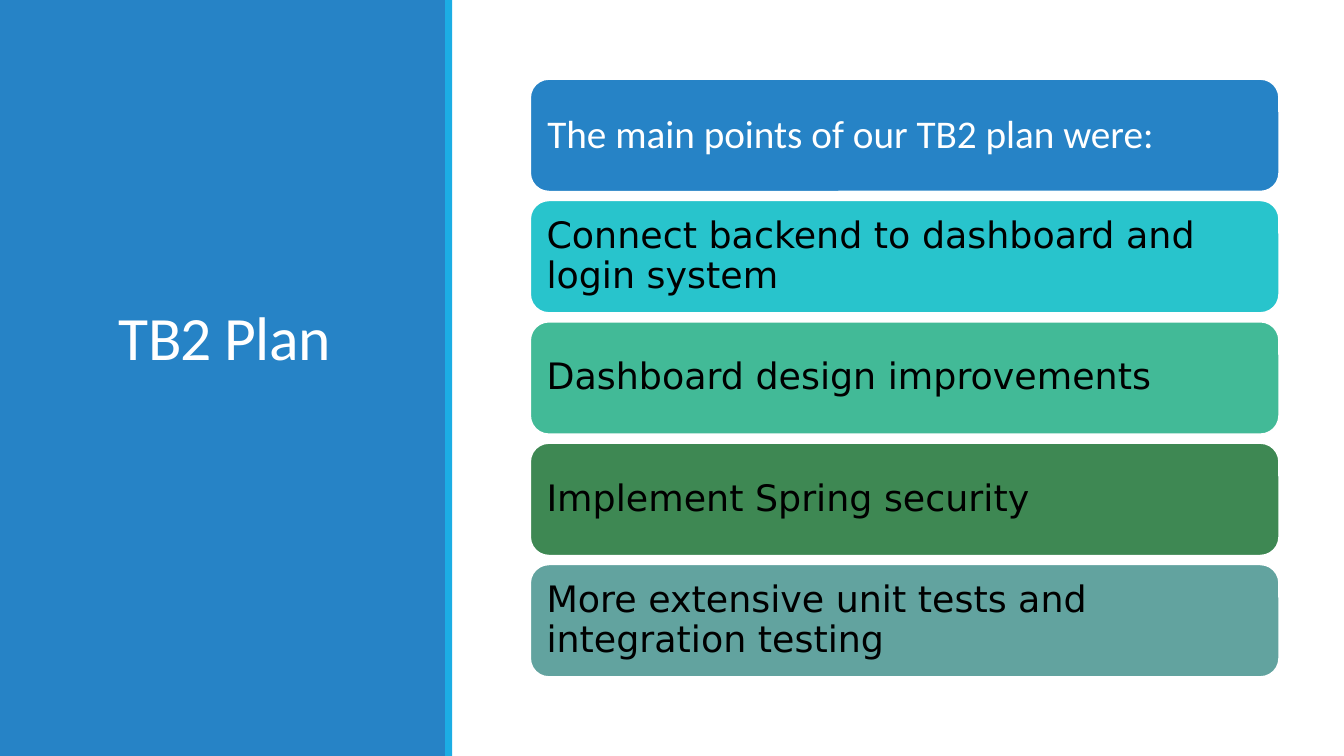
from dataclasses import dataclass

from pptx import Presentation
from pptx.dml.color import RGBColor
from pptx.enum.shapes import MSO_SHAPE
from pptx.enum.text import MSO_ANCHOR, PP_ALIGN
from pptx.util import Pt

RECTANGLE = MSO_SHAPE.RECTANGLE
ROUNDED = MSO_SHAPE.ROUNDED_RECTANGLE
BOTTOM = MSO_ANCHOR.BOTTOM
MIDDLE = MSO_ANCHOR.MIDDLE
LEFT = PP_ALIGN.LEFT


@dataclass(frozen=True)
class Theme:
    """Colours, fonts and type sizes of the slide."""
    panel: str = "2683C6"
    accent: str = "1CADE4"
    light: str = "FFFFFF"
    dark: str = "000000"
    cards: tuple = ("2683C6", "28C4CC", "42BA97", "3E8853", "62A39F")
    heading_font: str = "Calibri"
    point_font: str = "DejaVu Sans"
    title_size: float = 44
    heading_size: float = 28
    point_size: float = 26


THEME = Theme()
HEADING = "The main points of our TB2 plan were:"
POINTS = (
    "Connect backend to dashboard and login system",
    "Dashboard design improvements",
    "Implement Spring security",
    "More extensive unit tests and integration testing",
)


def add_block(slide, kind, box, fill, outline=None):
    """Add a filled shape in the box, with an outline if one is given."""
    shape = slide.shapes.add_shape(kind, *(Pt(length) for length in box))
    shape.shadow.inherit = False
    shape.fill.solid()
    shape.fill.fore_color.rgb = RGBColor.from_string(fill)
    if outline:
        shape.line.color.rgb = RGBColor.from_string(outline)
        shape.line.width = Pt(1.25)
    else:
        shape.line.fill.background()
    return shape


def write(shape, text, font, size, color, anchor, spacing):
    """Write one left-aligned paragraph into the shape and return its run."""
    frame = shape.text_frame
    frame.text = text
    frame.word_wrap = True
    frame.vertical_anchor = anchor
    paragraph = frame.paragraphs[0]
    paragraph.alignment = LEFT
    paragraph.line_spacing = spacing
    run = paragraph.runs[0]
    run.font.name = font
    run.font.size = Pt(size)
    run.font.color.rgb = RGBColor.from_string(color)
    return run


def add_title_panel(slide, box, title):
    """Draw the side panel with its accent strip and the title."""
    left, top, width, height = box
    strip = 5
    add_block(slide, RECTANGLE, (left, top, width - strip, height), THEME.panel)
    add_block(slide, RECTANGLE, (left + width - strip, top, strip, height), THEME.accent)
    title_box = (left + 77.8, top + 23, 276.5, height / 2 - 23)
    shape = slide.shapes.add_textbox(*(Pt(length) for length in title_box))
    run = write(shape, title, THEME.heading_font, THEME.title_size,
                THEME.light, BOTTOM, 0.85)
    run._r.get_or_add_rPr().set("spc", "-50")


def add_cards(slide, box, heading, points):
    """Stack the heading card and the point cards at equal gaps in the box."""
    left, top, width, height = box
    gap = 6.2
    texts = (heading, *points)
    card_height = (height - gap * (len(texts) - 1)) / len(texts)
    for index, (text, fill) in enumerate(zip(texts, THEME.cards)):
        card_top = top + index * (card_height + gap)
        card = add_block(slide, ROUNDED, (left, card_top, width, card_height),
                         fill, THEME.light)
        if index == 0:
            style = (THEME.heading_font, THEME.heading_size, THEME.light)
        else:
            style = (THEME.point_font, THEME.point_size, THEME.dark)
        write(card, text, *style, MIDDLE, 0.9)
        frame = card.text_frame
        inset = Pt(0.3 * style[1])
        frame.margin_left = frame.margin_right = inset
        frame.margin_top = frame.margin_bottom = inset


def main():
    """Build the plan slide and save it."""
    presentation = Presentation()
    presentation.slide_width = Pt(960)
    presentation.slide_height = Pt(540)
    slide = presentation.slides.add_slide(presentation.slide_layouts[6])
    add_title_panel(slide, (0, 0, 323, 540), "TB2 Plan")
    add_cards(slide, (378.7, 56.4, 535, 427.2), HEADING, POINTS)
    presentation.save("out.pptx")


if __name__ == "__main__":
    main()
